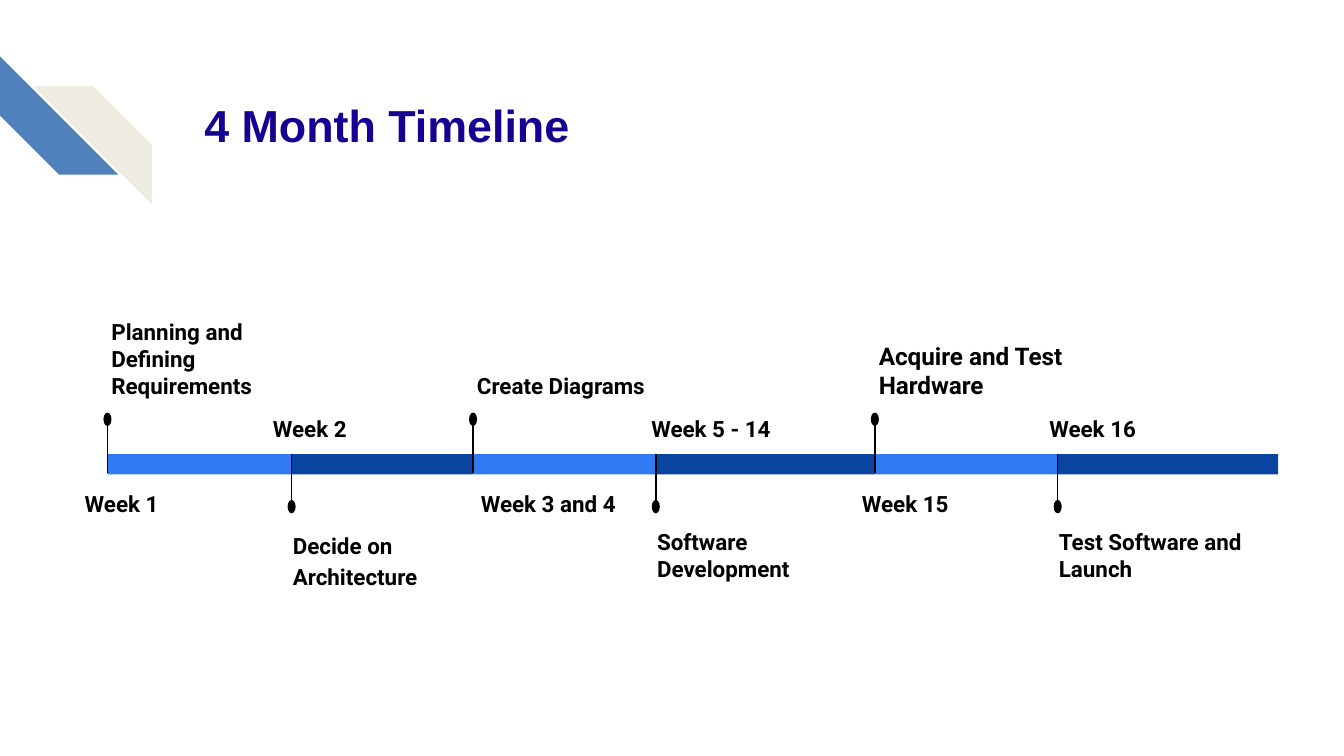
from lxml import etree
from pptx import Presentation
from pptx.dml.color import RGBColor
from pptx.enum.shapes import MSO_CONNECTOR as LINE, MSO_SHAPE as SHAPE
from pptx.enum.text import MSO_ANCHOR as ANCHOR, MSO_AUTO_SIZE as FIT, PP_ALIGN as ALIGN
from pptx.oxml.ns import qn
from pptx.util import Inches, Pt


def color(value):
    return RGBColor.from_string(value)


class Timeline:
    """Style and current slide, with one method per kind of element."""
    BLACK, NAVY = "000000", "150092"
    STRIPES = "4F81BD", "EEECE1"
    BARS = "307BF3", "0944A1"
    TITLE_FONT, FONT = "Arial", "Roboto"

    def __init__(self, page):
        self.page = page

    def fill_text(self, box, text, size, font, ink, anchor, align):
        frame = box.text_frame
        frame.word_wrap = True
        frame.auto_size = FIT.NONE
        frame.vertical_anchor = anchor
        frame.margin_left = frame.margin_right = Inches(0.1)
        frame.margin_top = frame.margin_bottom = Inches(0.1)
        para = frame.paragraphs[0]
        para.text = text
        para.alignment = align
        para.font.name = font
        para.font.size = Pt(size)
        para.font.bold = True
        para.font.color.rgb = color(ink)
        return para

    def title(self, text, left, top, width, height):
        box = self.page.shapes.title
        box.left, box.top = Inches(left), Inches(top)
        box.width, box.height = Inches(width), Inches(height)
        self.fill_text(box, text, 24, self.TITLE_FONT, self.NAVY, ANCHOR.MIDDLE, ALIGN.LEFT)

    def label(self, text, left, top, width, height, size=12, anchor=ANCHOR.TOP,
              align=ALIGN.LEFT, spacing=1.0, after=16):
        box = self.page.shapes.add_textbox(Inches(left), Inches(top), Inches(width), Inches(height))
        para = self.fill_text(box, text, size, self.FONT, self.BLACK, anchor, align)
        para.line_spacing = spacing
        para.space_after = Pt(after)

    def shape(self, kind, fill, left, top, width, height):
        shape = self.page.shapes.add_shape(
            kind, Inches(left), Inches(top), Inches(width), Inches(height))
        shape.shadow.inherit = False
        shape.fill.solid()
        shape.fill.fore_color.rgb = color(fill)
        shape.line.fill.background()
        return shape

    def stripe(self, fill, left, top, rotation):
        stripe = self.shape(SHAPE.DIAGONAL_STRIPE, fill, left, top, 0.88, 0.88)
        stripe.adjustments[0] = 0.5
        stripe.rotation = rotation

    def pin(self, x, start, end, dot_top):
        line = self.page.shapes.add_connector(
            LINE.STRAIGHT, Inches(x), Inches(start), Inches(x), Inches(end))
        line.line.color.rgb = color(self.BLACK)
        line.line.width = Pt(0.75)
        etree.SubElement(line._element.spPr, qn("a:effectLst"))
        self.shape(SHAPE.OVAL, self.BLACK, x - 0.03, dot_top, 0.06, 0.1)


BAR_TOP, BAR_HEIGHT = 3.38, 0.15
BAR_BOTTOM = 3.52
BAR_ENDS = [0.8, 2.17, 3.52, 4.88, 6.51, 7.87, 9.51]
TASK_WIDTH, TASK_HEIGHT = 1.58, 1.03

# Week, left and width of its label, task, task text settings
PHASES = [
    ("Week 1", 0.5, 0.81, "Planning and Defining Requirements", {}),
    ("Week 2", 1.91, 0.79, "Decide on Architecture", {"spacing": 1.15, "after": 0}),
    ("Week 3 and 4", 3.3, 1.56, "Create Diagrams", {}),
    ("Week 5 - 14", 4.62, 1.34, "Software Development", {}),
    ("Week 15", 6.29, 0.89, "Acquire and Test Hardware", {"size": 13}),
    ("Week 16", 7.62, 1.02, "Test Software and Launch", {}),
]


def main():
    deck = Presentation()
    deck.slide_width = Inches(10)
    deck.slide_height = deck.slide_width * 9 // 16
    timeline = Timeline(deck.slides.add_slide(deck.slide_layouts[5]))

    # Corner stripes and title
    timeline.stripe(timeline.STRIPES[0], 0, 0.42, 270)
    timeline.stripe(timeline.STRIPES[1], 0.25, 0.64, 90)
    timeline.title("4 Month Timeline", 1.42, 0.43, 7.7, 1)

    # Phases: tasks alternate above and below the bar, weeks opposite
    for index, (week, week_left, week_width, task, style) in enumerate(PHASES):
        x, end = BAR_ENDS[index:index + 2]
        below = index % 2
        timeline.shape(SHAPE.RECTANGLE, timeline.BARS[below], x, BAR_TOP, end - x, BAR_HEIGHT)
        if below:
            timeline.pin(x, 3.77, BAR_TOP, 3.72)
            timeline.label(task, x - 0.09, 3.83, TASK_WIDTH, TASK_HEIGHT, **style)
        else:
            timeline.pin(x, 3.13, BAR_BOTTOM, 3.07)
            timeline.label(task, x - 0.07, 2.04, TASK_WIDTH, TASK_HEIGHT,
                           anchor=ANCHOR.BOTTOM, **style)
        timeline.label(week, week_left, 2.96 if below else 3.52, week_width, 0.41,
                       align=ALIGN.CENTER, spacing=1.15)

    deck.save("out.pptx")


if __name__ == "__main__":
    main()
